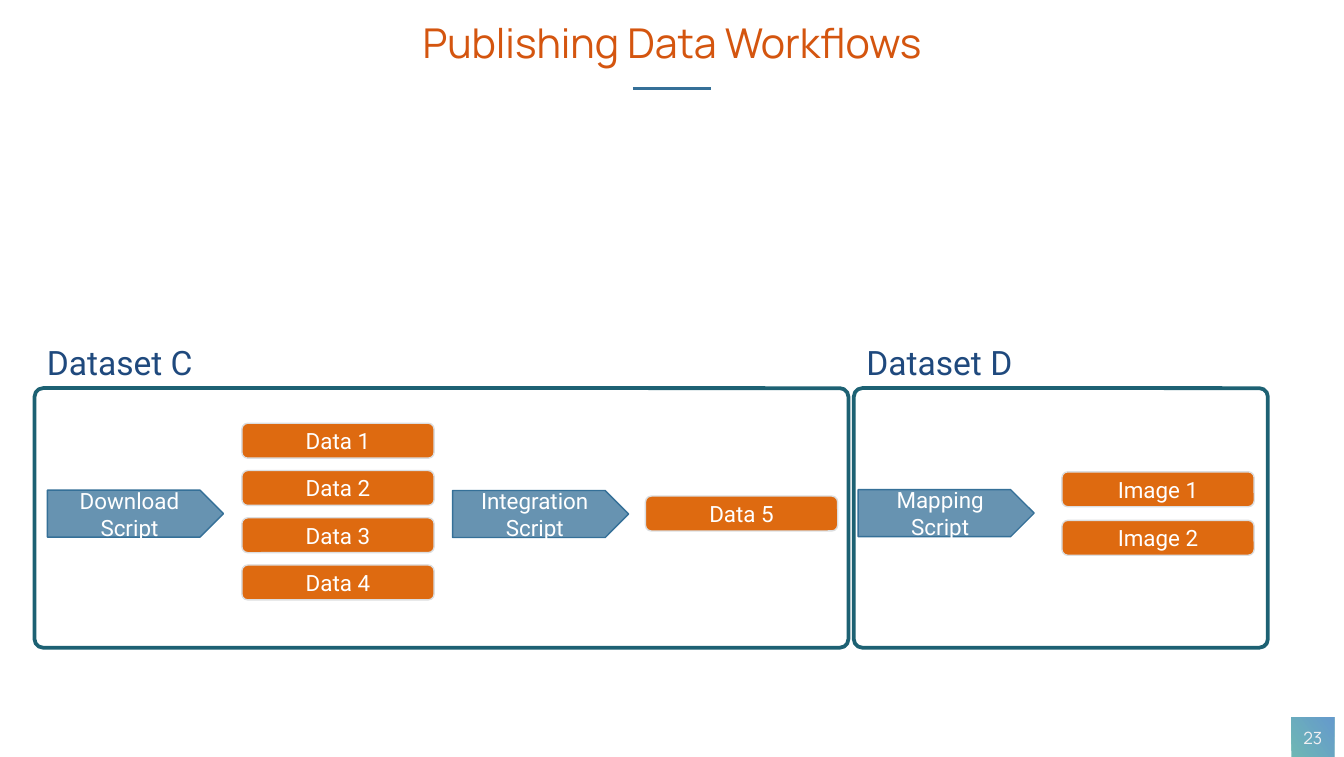
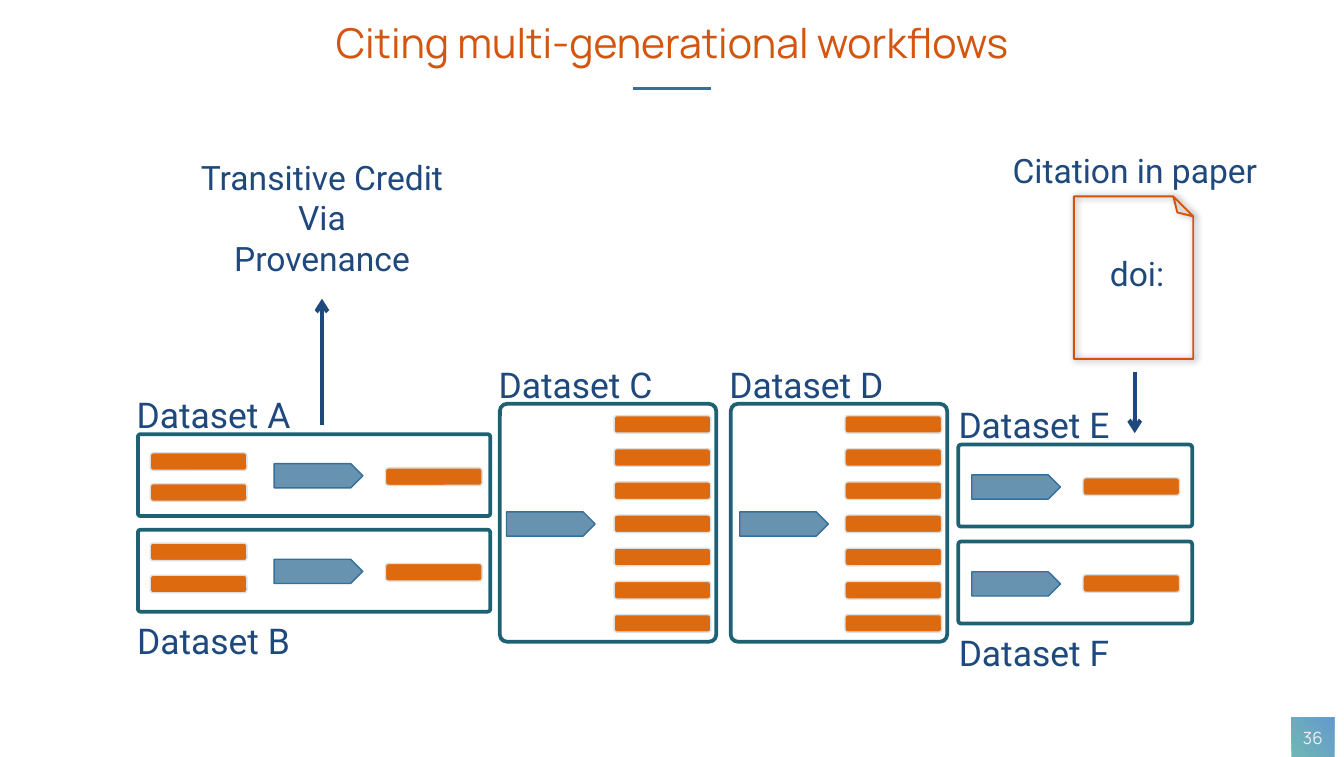
from dataclasses import dataclass

import pptx
import pptx.dml.color
import pptx.enum.shapes
import pptx.enum.text
import pptx.oxml
import pptx.oxml.ns
import pptx.util
from lxml import etree

Pt = pptx.util.Pt
qn = pptx.oxml.ns.qn
PRESET = pptx.enum.shapes.MSO_SHAPE
STRAIGHT = pptx.enum.shapes.MSO_CONNECTOR.STRAIGHT
ANCHOR = pptx.enum.text.MSO_ANCHOR
CENTER = pptx.enum.text.PP_ALIGN.CENTER
AUTO_SIZE = pptx.enum.text.MSO_AUTO_SIZE


@dataclass(frozen=True)
class Theme:
    heading_font: str = "Manrope"
    text_font: str = "Roboto"
    title_color: str = "D4550F"
    label_color: str = "1F497D"
    frame_color: str = "1D6173"
    script_color: str = "357098"
    data_color: str = "DE6A10"
    data_edge: str = "DCDEE0"
    paper_edge: str = "D4520A"
    white: str = "FFFFFF"
    number_color: str = "F2F1F3"
    badge_start: str = "6EB7B4"
    badge_end: str = "659ACC"
    title_size: float = 22
    label_size: float = 18
    small_dataset_size: float = 19
    step_size: float = 12
    number_size: float = 9
    script_alpha: int = 75


THEME = Theme()


@dataclass(frozen=True)
class Scale:
    script: tuple
    data: tuple
    label: tuple
    label_size: float


LARGE = Scale((94.3, 25.2), (103, 18.7), (91.4, 27.4), THEME.label_size)
SMALL = Scale((47.5, 13), (51.8, 9.4), (95, 28.8), THEME.small_dataset_size)


@dataclass(frozen=True)
class Dataset:
    name: str
    box: tuple
    label_at: tuple
    scripts: tuple
    stacks: tuple


def rgb(color):
    return pptx.dml.color.RGBColor.from_string(color)


def write(frame, lines, font, size, color):
    for index, line in enumerate(lines):
        paragraph = frame.paragraphs[0] if index == 0 else frame.add_paragraph()
        paragraph.alignment = CENTER
        run = paragraph.add_run()
        run.text = line
        run.font.name = font
        run.font.size = Pt(size)
        run.font.color.rgb = rgb(color)


def set_margins(frame, side, end):
    frame.margin_left = frame.margin_right = Pt(side)
    frame.margin_top = frame.margin_bottom = Pt(end)


def draw_shape(slide, preset, box, edge, weight, fill=None):
    shape = slide.shapes.add_shape(preset, *map(Pt, box))
    shape.shadow.inherit = False
    if fill:
        shape.fill.solid()
        shape.fill.fore_color.rgb = rgb(fill)
    else:
        shape.fill.background()
    shape.line.color.rgb = rgb(edge)
    shape.line.width = Pt(weight)
    return shape


def draw_line(slide, start, end, color, weight, arrow=False):
    line = slide.shapes.add_connector(STRAIGHT, *map(Pt, start + end))
    line.line.color.rgb = rgb(color)
    line.line.width = Pt(weight)
    if arrow:
        etree.SubElement(line.line._get_or_add_ln(), qn("a:tailEnd"), type="arrow")
    etree.SubElement(line._element.spPr, qn("a:effectLst"))


def draw_label(slide, box, lines, size=THEME.label_size):
    frame = slide.shapes.add_textbox(*map(Pt, box)).text_frame
    set_margins(frame, 5.75, 2.9)
    frame.word_wrap = False
    frame.auto_size = AUTO_SIZE.SHAPE_TO_FIT_TEXT
    write(frame, lines, THEME.text_font, size, THEME.label_color)


def draw_step(shape, lines):
    frame = shape.text_frame
    frame.vertical_anchor = ANCHOR.MIDDLE
    write(frame, lines, THEME.text_font, THEME.step_size, THEME.white)


def draw_script(slide, box, lines):
    script = draw_shape(slide, PRESET.PENTAGON, box, THEME.script_color, 0.75, THEME.script_color)
    color = script._element.spPr.find(qn("a:solidFill"))[0]
    etree.SubElement(color, qn("a:alpha"), val=str(THEME.script_alpha * 1000))
    draw_step(script, lines)


def draw_data(slide, box, lines):
    data = draw_shape(slide, PRESET.ROUNDED_RECTANGLE, box, THEME.data_edge, 0.75, THEME.data_color)
    draw_step(data, lines)


def draw_dataset(slide, dataset, scale):
    left, top = dataset.box[:2]
    frame = draw_shape(slide, PRESET.ROUNDED_RECTANGLE, dataset.box, THEME.frame_color, 2)
    frame.adjustments[0] = 0.033
    for x, y, lines in dataset.scripts:
        draw_script(slide, (left + x, top + y, *scale.script), lines)
    for x, y, pitch, items in dataset.stacks:
        for row, lines in enumerate(items):
            draw_data(slide, (left + x, top + y + row * pitch, *scale.data), lines)
    x, y = dataset.label_at
    draw_label(slide, (left + x, top + y, *scale.label), [dataset.name], scale.label_size)


def draw_title(slide, box, text):
    title = slide.shapes.title
    title.left, title.top, title.width, title.height = map(Pt, box)
    frame = title.text_frame
    set_margins(frame, 2.9, 1.45)
    frame.vertical_anchor = ANCHOR.TOP
    frame.word_wrap = True
    frame.auto_size = AUTO_SIZE.NONE
    write(frame, [text], THEME.heading_font, THEME.title_size, THEME.title_color)
    left, top, width, height = box
    middle, rule = left + width / 2, top + height + 7.2
    draw_line(slide, (middle - 21, rule), (middle + 21, rule), THEME.script_color, 1.5)


def draw_page_number(slide, box, number):
    left, top, width, height = box
    badge = slide.shapes.add_shape(PRESET.RECTANGLE, *map(Pt, box))
    badge.shadow.inherit = False
    badge.line.fill.background()
    badge.fill.gradient()
    badge.fill.gradient_angle = 36
    for stop, color, position in zip(
        badge.fill.gradient_stops, (THEME.badge_start, THEME.badge_end), (0, 1)
    ):
        stop.color.rgb = rgb(color)
        stop.position = position
    inner = (left + 1.4, top + 2, width - 2.8, height - 3.6)
    frame = slide.shapes.add_textbox(*map(Pt, inner)).text_frame
    set_margins(frame, 0, 1.45)
    frame.word_wrap = True
    frame.vertical_anchor = ANCHOR.MIDDLE
    write(frame, [number], THEME.heading_font, THEME.number_size, THEME.number_color)


def draw_citation(slide, box):
    left, top, width, height = box
    draw_label(slide, (left - 40, top - 27.8, 145.4, 27.4), ["Citation in paper"])
    turned = (left + (width - height) / 2, top + (height - width) / 2, height, width)
    paper = draw_shape(slide, PRESET.FOLDED_CORNER, turned, THEME.paper_edge, 1)
    paper.rotation = 270
    effects = paper._element.spPr.find(qn("a:effectLst"))
    shadow = etree.SubElement(
        effects, qn("a:outerShdw"),
        blurRad=str(Pt(4)), dist=str(Pt(1)), dir="0", rotWithShape="0",
    )
    color = etree.SubElement(shadow, qn("a:srgbClr"), val="000000")
    etree.SubElement(color, qn("a:alpha"), val="50000")
    draw_label(slide, (left + 13.4, top + 27.6, 41, 27.4), ["doi:"])
    x, y = left + width / 2 + 0.6, top + height + 6.8
    draw_line(slide, (x, y), (x, y + 33), THEME.label_color, 2.25, arrow=True)


def draw_credit(slide, box):
    left, top, width, height = box
    draw_label(slide, box, ["Transitive Credit", "Via", "Provenance"])
    x, tip = left + width / 2, top + height + 7.5
    draw_line(slide, (x, tip + 67.7), (x, tip), THEME.label_color, 2.25, arrow=True)


def start_slide(deck, title, number):
    slide = deck.slides.add_slide(deck.slide_layouts[5])
    draw_title(slide, (95.4, 8, 529.2, 32.4), title)
    draw_page_number(slide, (691.8, 384, 23, 21.4), number)
    return slide


def build_publishing(deck):
    slide = start_slide(deck, "Publishing Data Workflows", "23")
    sources = [[f"Data {n}"] for n in range(1, 5)]
    images = [[f"Image {n}"] for n in (1, 2)]
    datasets = (
        Dataset(
            "Dataset C", (18.5, 207.9, 436, 139), (0, -27.5),
            ((6.9, 54.6, ["Download", "Script"]), (224, 54.8, ["Integration", "Script"])),
            ((111.1, 18.8, 25.3, sources), (327.3, 57.8, 0, [["Data 5"]])),
        ),
        Dataset(
            "Dataset D", (457.4, 207.9, 221.8, 139), (0.2, -27.5),
            ((2.3, 54.3, ["Mapping", "Script"]),), ((111.5, 44.8, 26, images),),
        ),
    )
    for dataset in datasets:
        draw_dataset(slide, dataset, LARGE)


def build_citing(deck):
    slide = start_slide(deck, "Citing multi-generational workflows", "36")
    above, below = (-7, -25), (-7, 45.2)
    one, two, seven = ([[]] * count for count in (1, 2, 7))
    pairs = (
        ("Dataset A", 232.5, above, 10, 16.6),
        ("Dataset B", 283.7, below, 7.2, 17.2),
    )
    for name, top, label_at, first, pitch in pairs:
        stacks = ((6.6, first, pitch, two), (132.6, 18.1, 0, one))
        box = (73.9, top, 188.8, 43.9)
        draw_dataset(slide, Dataset(name, box, label_at, ((73, 15.8, []),), stacks), SMALL)
    for name, left, script_left in (("Dataset C", 267.8, 3.6), ("Dataset D", 391.5, 4.8)):
        box = (left, 216.3, 115.9, 127.4)
        stacks = ((61.2, 6.3, 17.76, seven),)
        scripts = ((script_left, 57.8, []),)
        draw_dataset(slide, Dataset(name, box, above, scripts, stacks), SMALL)
    for name, top, label_at in (("Dataset E", 238.1, above), ("Dataset F", 290, below)):
        box = (513.4, top, 125.3, 43.9)
        stacks = ((66.8, 17.8, 0, one),)
        draw_dataset(slide, Dataset(name, box, label_at, ((7.2, 16.2, []),), stacks), SMALL)
    draw_citation(slide, (575.3, 105.2, 64, 87))
    draw_credit(slide, (101, 81.2, 143, 71.3))


def main():
    deck = pptx.Presentation()
    deck.slide_width, deck.slide_height = Pt(720), Pt(405.4)
    build_publishing(deck)
    build_citing(deck)
    deck.save("out.pptx")


if __name__ == "__main__":
    main()
